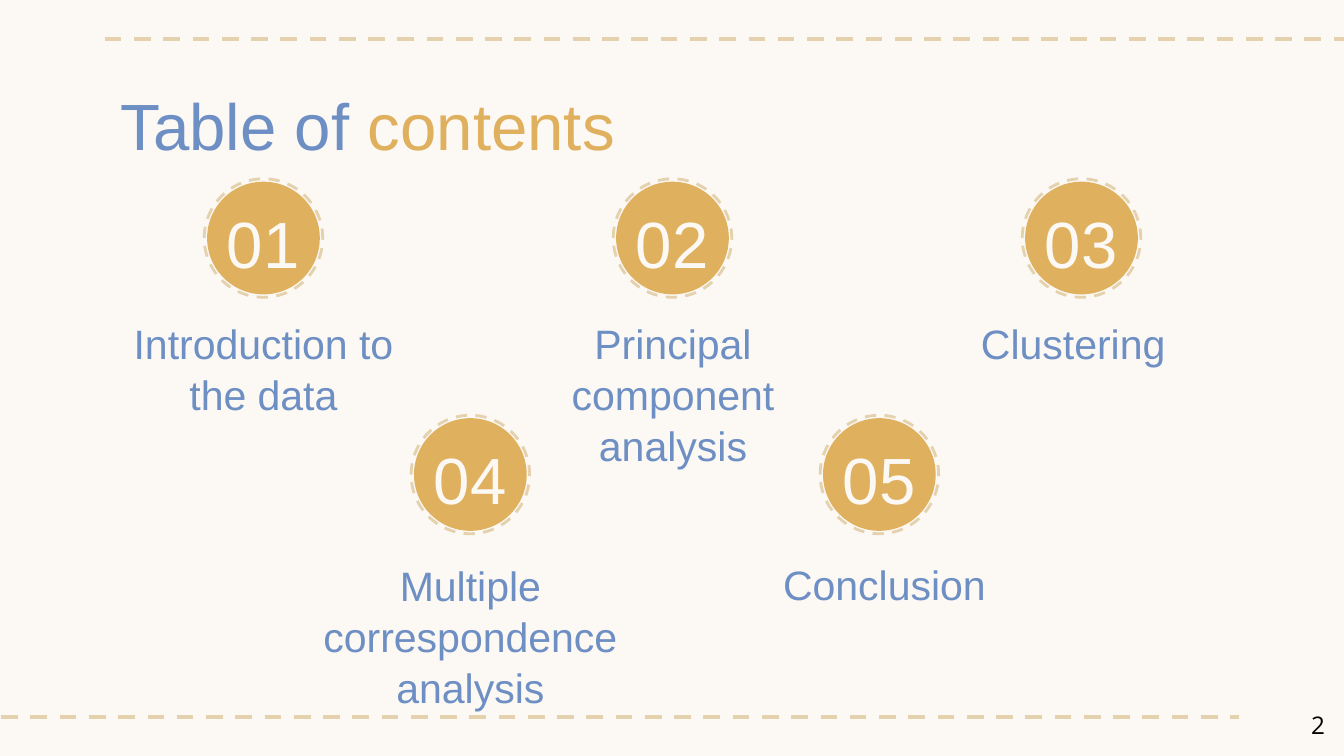
"""Build a table of contents slide with five numbered sections."""
import lxml.etree
import pptx
import pptx.dml.color
import pptx.enum.dml
import pptx.enum.shapes
import pptx.enum.text
import pptx.oxml.ns
import pptx.util

Cm = pptx.util.Cm
Pt = pptx.util.Pt
RGBColor = pptx.dml.color.RGBColor
ALIGN = pptx.enum.text.PP_ALIGN
ANCHOR = pptx.enum.text.MSO_ANCHOR

CREAM = RGBColor(0xFC, 0xF8, 0xF4)
SAND = RGBColor(0xE4, 0xD1, 0xAD)
GOLD = RGBColor(0xDF, 0xB0, 0x5E)
BLUE = RGBColor(0x6E, 0x8F, 0xC3)
BLACK = RGBColor(0, 0, 0)

PITCH = 7.73
ROWS = [
    (4.98, 4.5, [
        ("Introduction to the data", 1.78, 5.73, 6.4, ALIGN.CENTER),
        ("Principal component analysis", 9.52, 5.73, 6.4, ALIGN.CENTER),
        ("Clustering", 18.29, 5.73, 4.27, ALIGN.LEFT),
    ]),
    (8.89, 8.97, [
        ("Multiple correspondence analysis", 5.69, 10.3, 6.4, ALIGN.CENTER),
        ("Conclusion", 14.55, 10.28, 4.78, ALIGN.LEFT),
    ]),
]


def style_dashes(line, width):
    line.color.rgb = SAND
    line.width = Pt(width)
    line.dash_style = pptx.enum.dml.MSO_LINE.DASH


def add_rule(s, x1, x2, y):
    c = s.shapes.add_connector(
        pptx.enum.shapes.MSO_CONNECTOR.STRAIGHT, Cm(x1), Cm(y), Cm(x2), Cm(y))
    style_dashes(c.line, 2.25)
    sp_pr = c._element.spPr
    lxml.etree.SubElement(sp_pr, pptx.oxml.ns.qn("a:effectLst"))


def add_circle(shapes, x, y, size):
    sp = shapes.add_shape(
        pptx.enum.shapes.MSO_SHAPE.OVAL,
        Cm(x - size / 2), Cm(y - size / 2), Cm(size), Cm(size))
    sp.shadow.inherit = False
    return sp


def add_badge(s, x, y):
    shapes = s.shapes.add_group_shape().shapes
    ring = add_circle(shapes, x, y, 2.24)
    ring.fill.background()
    style_dashes(ring.line, 1.5)
    disc = add_circle(shapes, x, y, 2.13)
    disc.fill.solid()
    disc.fill.fore_color.rgb = GOLD
    disc.line.fill.background()


def add_text(s, text, x, y, w, h, size, color, align=ALIGN.LEFT,
             anchor=ANCHOR.TOP, font="Arial", spacing=1.04):
    tf = s.shapes.add_textbox(Cm(x), Cm(y), Cm(w), Cm(h)).text_frame
    tf.word_wrap = True
    tf.vertical_anchor = anchor
    tf.margin_left = tf.margin_right = Cm(0.25)
    tf.margin_top = tf.margin_bottom = Cm(0.25)
    p = tf.paragraphs[0]
    p.alignment = align
    p.line_spacing = spacing
    p.font.name = font
    p.font.size = Pt(size)
    p.font.color.rgb = color
    p.add_run().text = text
    return p


def add_title(s):
    p = add_text(s, "Table of ", 2.03, 1.3, 21.41, 1.6, 35, BLUE)
    r = p.add_run()
    r.text = "contents"
    r.font.color.rgb = GOLD


def add_sections(s):
    number = 0
    for first_x, y, captions in ROWS:
        for col, (text, left, top, width, align) in enumerate(captions):
            number += 1
            x = first_x + col * PITCH
            add_badge(s, x, y)
            add_text(s, f"{number:02}", x - 1.02, y - 0.57, 2.03, 1.24, 35,
                     CREAM, ALIGN.CENTER, ANCHOR.MIDDLE)
            add_text(s, text, left, top, width, 2.08, 22, BLUE, align)


def main():
    prs = pptx.Presentation()
    prs.slide_width, prs.slide_height = Cm(25.4), Cm(14.29)
    s = prs.slides.add_slide(prs.slide_layouts[6])
    s.background.fill.solid()
    s.background.fill.fore_color.rgb = CREAM
    add_rule(s, 1.98, 25.93, 0.73)
    add_rule(s, -0.53, 23.42, 13.56)
    add_title(s)
    add_sections(s)
    add_text(s, "2", 23.77, 13.18, 1.52, 1.09, 13, BLACK, ALIGN.RIGHT,
             font="Open Sans", spacing=1.0)
    prs.save("out.pptx")


if __name__ == "__main__":
    main()
